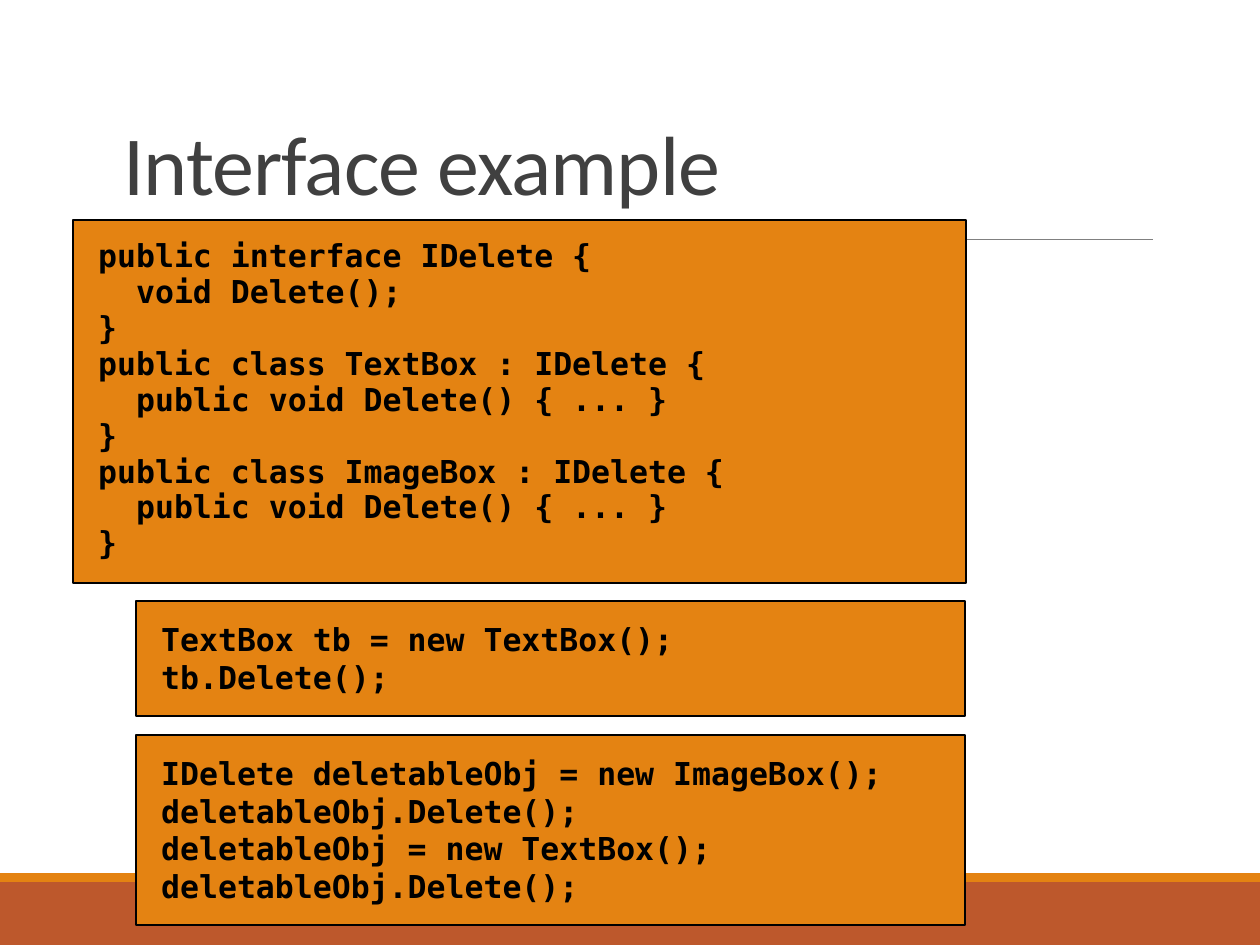
from dataclasses import dataclass

from pptx import Presentation, util as u
from pptx.dml.color import RGBColor
from pptx.enum import shapes, text
from pptx.oxml.ns import qn
from lxml import etree

# Content
TITLE = "Interface example"
CODE_BOXES = [  # bounds in px, line spacing, lines of code
    ((73, 220, 893, 363), 0.95, [
        "public interface IDelete {",
        "  void Delete();",
        "}",
        "public class TextBox : IDelete {",
        "  public void Delete() { ... }",
        "}",
        "public class ImageBox : IDelete {",
        "  public void Delete() { ... }",
        "}",
    ]),
    ((136, 601, 829, 115), 1.0, [
        "TextBox tb = new TextBox();",
        "tb.Delete();",
    ]),
    ((136, 735, 829, 190), 1.0, [
        "IDelete deletableObj = new ImageBox();",
        "deletableObj.Delete();",
        "deletableObj = new TextBox();",
        "deletableObj.Delete();",
    ]),
]


@dataclass(frozen=True)
class Theme:
    orange: str = "E48312"
    rust: str = "BD582C"
    rule: str = "808080"
    title: str = "404040"
    code: str = "000000"
    title_font: str = "Calibri"
    code_font: str = "DejaVu Sans Mono"
    title_size: int = 48
    code_size: int = 18


THEME = Theme()
WIDTH, HEIGHT = 1260, 945
RUST_TOP, ORANGE_TOP = 882, 873
PX = u.Inches(1) / 126


def px(*lengths):
    return [round(length * PX) for length in lengths]


def color(value):
    return RGBColor.from_string(value)


def add_rectangle(slide, bounds, fill):
    shape = slide.shapes.add_shape(shapes.MSO_SHAPE.RECTANGLE, *px(*bounds))
    shape.shadow.inherit = False
    shape.fill.solid()
    shape.fill.fore_color.rgb = color(fill)
    shape.line.fill.background()
    return shape


def style_font(font, name, size, fill, bold=False):
    font.name, font.size, font.bold = name, u.Pt(size), bold
    font.color.rgb = color(fill)


def add_rule(slide, left, right, y):
    rule = slide.shapes.add_connector(
        shapes.MSO_CONNECTOR.STRAIGHT, *px(left, y, right, y))
    rule.line.color.rgb = color(THEME.rule)
    rule.line.width = u.Pt(0.5)
    etree.SubElement(rule._element.spPr, qn("a:effectLst"))


def add_title(slide):
    box = slide.shapes.add_textbox(*px(111, 19, 1040, 200))
    frame = box.text_frame
    frame.word_wrap = True
    frame.vertical_anchor = text.MSO_ANCHOR.BOTTOM
    paragraph = frame.paragraphs[0]
    paragraph.line_spacing = 0.85
    run = paragraph.add_run()
    run.text = TITLE
    style_font(run.font, THEME.title_font, THEME.title_size, THEME.title)
    run.font._element.set("spc", "-50")


def add_code_box(slide, bounds, spacing, lines):
    shape = add_rectangle(slide, bounds, THEME.orange)
    shape.line.color.rgb = color(THEME.code)
    shape.line.width = u.Pt(1)
    frame = shape.text_frame
    frame.word_wrap = True
    frame.vertical_anchor = text.MSO_ANCHOR.TOP
    frame.margin_left = frame.margin_right = u.Inches(0.2)
    frame.margin_top = frame.margin_bottom = u.Inches(0.15)
    for index, line in enumerate(lines):
        paragraph = frame.add_paragraph() if index else frame.paragraphs[0]
        paragraph.text = line
        paragraph.alignment = text.PP_ALIGN.LEFT
        paragraph.line_spacing = spacing
        style_font(paragraph.font, THEME.code_font, THEME.code_size,
                   THEME.code, bold=True)


def main():
    presentation = Presentation()
    presentation.slide_width, presentation.slide_height = px(WIDTH, HEIGHT)
    slide = presentation.slides.add_slide(presentation.slide_layouts[6])

    # Footer bands and title rule
    add_rectangle(slide, (0, RUST_TOP, WIDTH, HEIGHT - RUST_TOP), THEME.rust)
    add_rectangle(slide, (0, ORANGE_TOP, WIDTH, RUST_TOP - ORANGE_TOP),
                  THEME.orange)
    add_rule(slide, 123, 1153, 239)

    # Title and code
    add_title(slide)
    for bounds, spacing, lines in CODE_BOXES:
        add_code_box(slide, bounds, spacing, lines)

    presentation.save("out.pptx")


if __name__ == "__main__":
    main()
